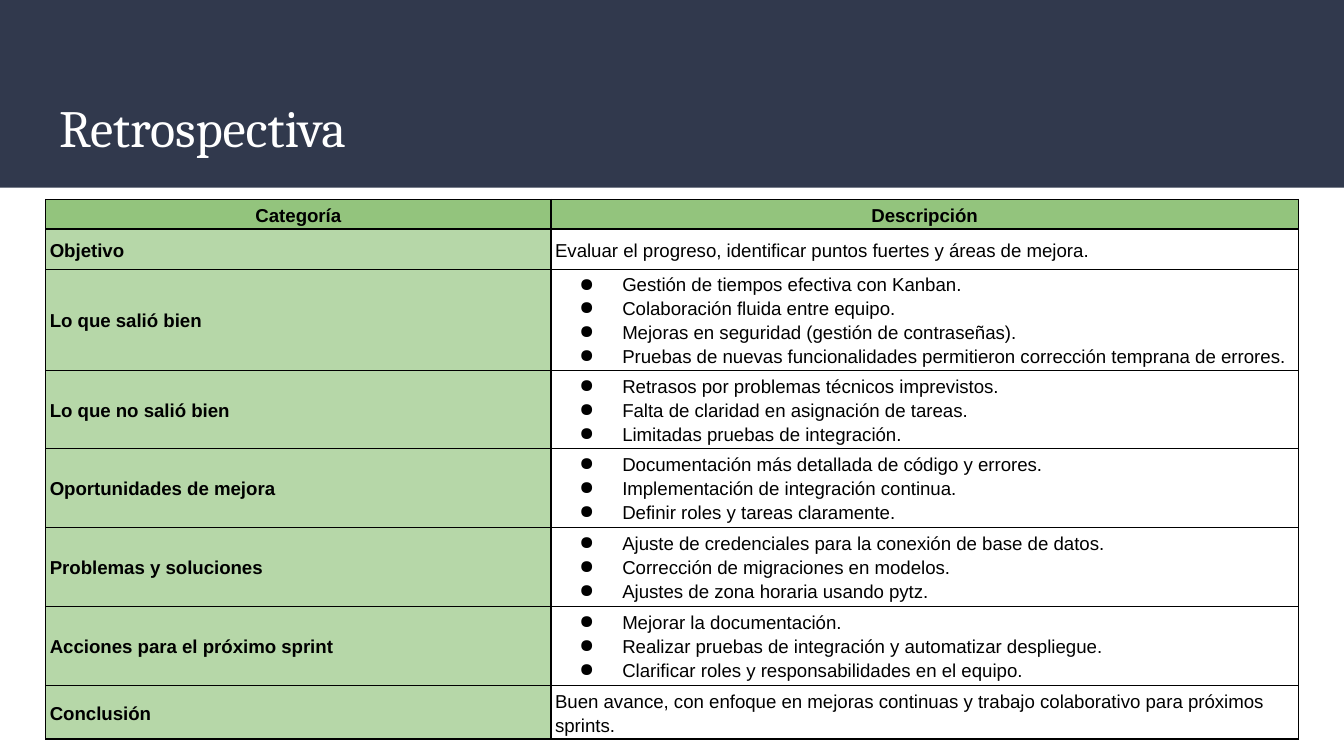
import pptx
import pptx.dml.color
import pptx.enum.shapes
import pptx.enum.text
import pptx.oxml.ns
import pptx.util
from lxml import etree

Pt = pptx.util.Pt
RGBColor = pptx.dml.color.RGBColor
ALIGN = pptx.enum.text.PP_ALIGN
MIDDLE = pptx.enum.text.MSO_ANCHOR.MIDDLE
qn = pptx.oxml.ns.qn

NAVY = RGBColor(0x31, 0x39, 0x4D)
WHITE = RGBColor(0xFF, 0xFF, 0xFF)
BLACK = RGBColor(0, 0, 0)
GREEN = RGBColor(0x93, 0xC4, 0x7D)
PALE = RGBColor(0xB6, 0xD7, 0xA8)

HEADS = ["Categoría", "Descripción"]
ROWS = [
    ("Objetivo", 21.6,
     "Evaluar el progreso, identificar puntos fuertes y áreas de mejora."),
    ("Lo que salió bien", 54, [
        "Gestión de tiempos efectiva con Kanban.",
        "Colaboración fluida entre equipo.",
        "Mejoras en seguridad (gestión de contraseñas).",
        "Pruebas de nuevas funcionalidades permitieron corrección temprana de errores."]),
    ("Lo que no salió bien", 41.4, [
        "Retrasos por problemas técnicos imprevistos.",
        "Falta de claridad en asignación de tareas.",
        "Limitadas pruebas de integración."]),
    ("Oportunidades de mejora", 42.4, [
        "Documentación más detallada de código y errores.",
        "Implementación de integración continua.",
        "Definir roles y tareas claramente."]),
    ("Problemas y soluciones", 42.4, [
        "Ajuste de credenciales para la conexión de base de datos.",
        "Corrección de migraciones en modelos.",
        "Ajustes de zona horaria usando pytz."]),
    ("Acciones para el próximo sprint", 42.4, [
        "Mejorar la documentación.",
        "Realizar pruebas de integración y automatizar despliegue.",
        "Clarificar roles y responsabilidades en el equipo."]),
    ("Conclusión", 27.4,
     "Buen avance, con enfoque en mejoras continuas y trabajo colaborativo "
     "para próximos sprints."),
]


def add_color(node, color):
    etree.SubElement(node, qn("a:srgbClr")).set("val", str(color))


def add_bullet(para):
    props = para._p.get_or_add_pPr()
    props.set("marL", str(Pt(36)))
    props.set("indent", str(Pt(-23)))
    add_color(etree.SubElement(props, qn("a:buClr")), BLACK)
    etree.SubElement(props, qn("a:buChar")).set("char", "●")


def add_edges(cell):
    props = cell._tc.get_or_add_tcPr()
    for i, side in enumerate(("lnL", "lnR", "lnT", "lnB")):
        line = etree.Element(qn("a:" + side), w=str(Pt(0.75)))
        add_color(etree.SubElement(line, qn("a:solidFill")), BLACK)
        props.insert(i, line)


def fill_cell(cell, text, fill=None, bold=False, align=ALIGN.LEFT):
    cell.vertical_anchor = MIDDLE
    cell.margin_left = cell.margin_right = Pt(2.2)
    cell.margin_top = cell.margin_bottom = Pt(1.5)
    if fill is None:
        cell.fill.background()
    else:
        cell.fill.solid()
        cell.fill.fore_color.rgb = fill
    add_edges(cell)
    listed = isinstance(text, list)
    frame = cell.text_frame
    frame.text = "\n".join(text) if listed else text
    for para in frame.paragraphs:
        if listed:
            add_bullet(para)
        para.alignment = align
        para.line_spacing = 1.15
        font = para.font
        font.name, font.size, font.bold = "Arial", Pt(10), bold
        font.color.rgb = BLACK


def add_header(slide, left, top, width, height):
    band = slide.shapes.add_shape(
        pptx.enum.shapes.MSO_SHAPE.RECTANGLE, Pt(left), Pt(top), Pt(width), Pt(height))
    band.shadow.inherit = False
    band.fill.solid()
    band.fill.fore_color.rgb = NAVY
    band.line.fill.background()
    slide.shapes._spTree.insert(2, band._element)

    title = slide.shapes.title
    title.left, title.top = Pt(left + 24.5), Pt(top + 43.2)
    title.width, title.height = Pt(width - 49), Pt(49)
    frame = title.text_frame
    frame.text = "Retrospectiva"
    frame.word_wrap = True
    frame.auto_size = pptx.enum.text.MSO_AUTO_SIZE.NONE
    frame.vertical_anchor = MIDDLE
    frame.margin_left = frame.margin_right = Pt(7.2)
    frame.margin_top = frame.margin_bottom = Pt(7.2)
    para = frame.paragraphs[0]
    para.alignment = ALIGN.LEFT
    para.font.name, para.font.size = "Cambria", Pt(28)
    para.font.color.rgb = WHITE


def add_review(slide, left, top, width):
    highs = [14.4] + [high for _, high, _ in ROWS]
    table = slide.shapes.add_table(
        len(highs), 2, Pt(left), Pt(top), Pt(width), Pt(sum(highs))).table
    table.first_row = table.horz_banding = False
    label = 270.7
    table.columns[0].width = Pt(label)
    table.columns[1].width = Pt(width - label)
    for row, high in zip(table.rows, highs):
        row.height = Pt(high)
    for col, head in enumerate(HEADS):
        fill_cell(table.cell(0, col), head, GREEN, True, ALIGN.CENTER)
    for i, (name, _, text) in enumerate(ROWS, 1):
        fill_cell(table.cell(i, 0), name, PALE, True)
        fill_cell(table.cell(i, 1), text)


def main():
    deck = pptx.Presentation()
    deck.slide_width, deck.slide_height = Pt(720), Pt(405)
    slide = deck.slides.add_slide(deck.slide_layouts[5])
    add_header(slide, 0, 0, 720, 100.6)
    add_review(slide, 24.5, 106.8, 671)
    deck.save("out.pptx")


if __name__ == "__main__":
    main()
